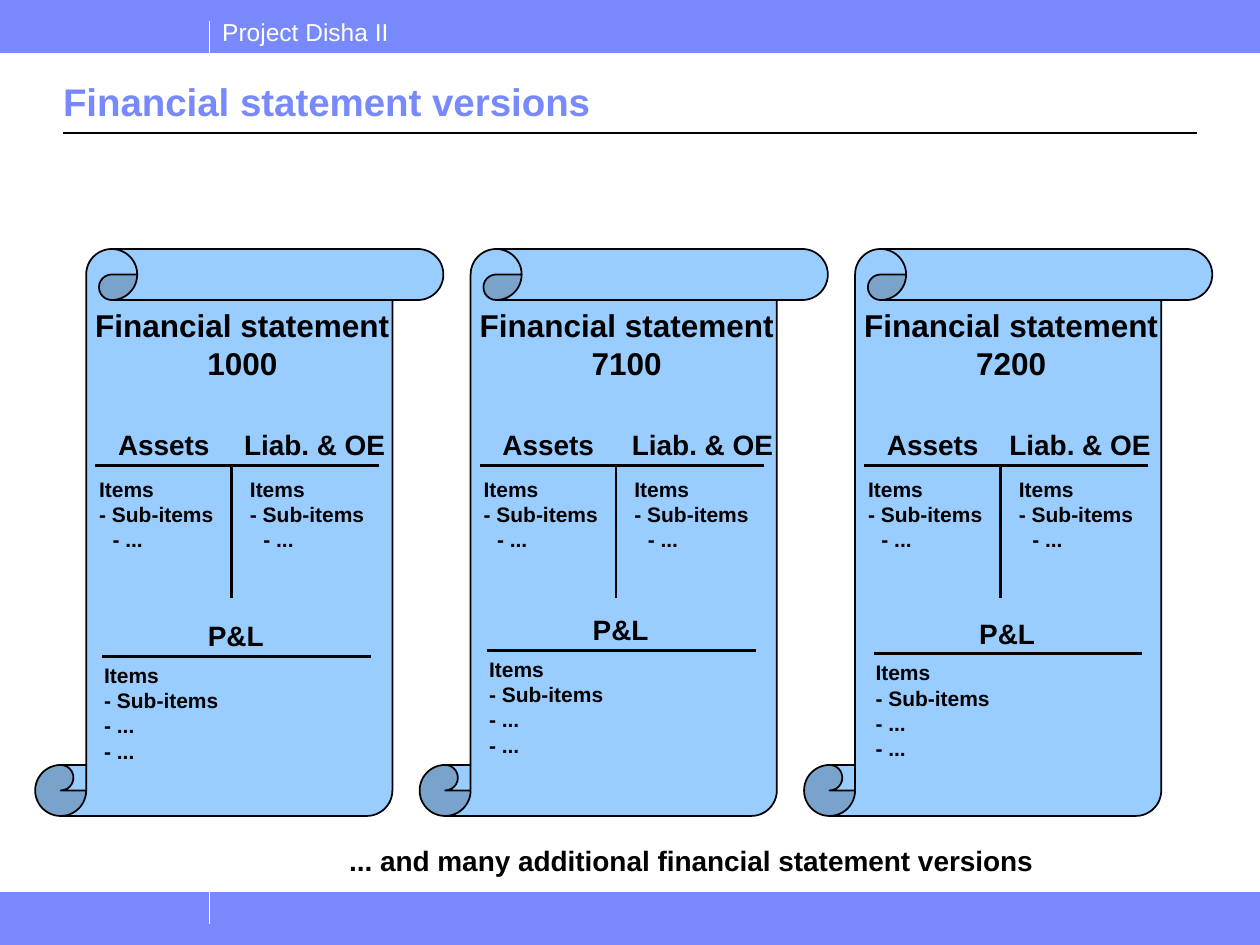
from dataclasses import dataclass

from lxml.etree import SubElement
from pptx import Presentation
from pptx.dml.color import RGBColor
from pptx.enum.shapes import MSO_CONNECTOR, MSO_SHAPE
from pptx.enum.text import MSO_ANCHOR, PP_ALIGN
from pptx.oxml.ns import qn
from pptx.util import Cm, Pt

# Content
PROJECT = "Project Disha II"
TITLE = "Financial statement versions"
CLOSING = "... and many additional financial statement versions"
HEADING = "Financial statement"
ASSETS, LIABILITIES, PROFIT_LOSS = "Assets", "Liab. & OE", "P&L"
# Each item is its text and its level
BALANCE_ITEMS = [("Items", 0), ("- Sub-items", 0), ("- ...", 1)]
PROFIT_ITEMS = [("Items", 0), ("- Sub-items", 0), ("- ...", 0), ("- ...", 0)]
# Number, left of the liabilities label, left and top of the P&L rule
# (left values count from the edge of the scroll)
VERSIONS = [
    ("1000", 3.96, 1.35, 13.23),
    ("7100", 4.03, 1.36, 13.11),
    ("7200", 3.89, 1.4, 13.18),
]


@dataclass(frozen=True)
class Theme:
    font: str = "Arial"
    accent: str = "7889FB"
    paper: str = "99CCFF"
    ink: str = "000000"
    white: str = "FFFFFF"
    title: int = 22
    heading: int = 18
    label: int = 16
    banner: int = 14
    item: int = 12


THEME = Theme()

# Layout, in centimetres
PAGE_WIDTH, PAGE_HEIGHT = 25.4, 19.05
BAND_HEIGHT, TICK_LEFT, TICK_HEIGHT = 1.06, 4.23, 0.63
MARGIN = 1.27
SCROLL_LEFT, SCROLL_TOP, SCROLL_PITCH = 0.71, 5.02, 7.75
SCROLL_WIDTH, SCROLL_HEIGHT = 8.23, 11.43
LABEL_HEIGHT, ITEM_WIDTH, ITEM_INDENT = 0.94, 3.35, 0.27
BALANCE_TOP = 9.39


def style(paragraph, size, color, bold=True, align=PP_ALIGN.LEFT):
    paragraph.alignment = align
    font = paragraph.font
    font.name, font.size, font.bold = THEME.font, Pt(size), bold
    font.color.rgb = RGBColor.from_string(color)


def add_shape(page, kind, left, top, width, height, fill, line, weight):
    shape = page.shapes.add_shape(kind, Cm(left), Cm(top), Cm(width), Cm(height))
    shape.shadow.inherit = False
    shape.fill.solid()
    shape.fill.fore_color.rgb = RGBColor.from_string(fill)
    shape.line.color.rgb = RGBColor.from_string(line)
    shape.line.width = Pt(weight)


def add_line(page, x1, y1, x2, y2, color=THEME.ink, weight=1.5):
    line = page.shapes.add_connector(
        MSO_CONNECTOR.STRAIGHT, Cm(x1), Cm(y1), Cm(x2), Cm(y2))
    line.line.color.rgb = RGBColor.from_string(color)
    line.line.width = Pt(weight)
    SubElement(line._element.spPr, qn("a:effectLst"))


def add_text(page, left, top, width, height, lines, size, wrap=False,
             color=THEME.ink, bold=True, align=PP_ALIGN.LEFT):
    box = page.shapes.add_textbox(Cm(left), Cm(top), Cm(width), Cm(height))
    frame = box.text_frame
    frame.word_wrap = wrap
    frame.text = "\n".join(lines)
    for paragraph in frame.paragraphs:
        style(paragraph, size, color, bold, align)
    return frame


def add_items(page, left, top, height, items):
    frame = add_text(page, left, top, ITEM_WIDTH, height,
                     [text for text, _ in items], THEME.item, wrap=True)
    for paragraph, (_, level) in zip(frame.paragraphs, items):
        properties = paragraph._p.get_or_add_pPr()
        properties.set("marL", str(Cm(ITEM_INDENT)))
        properties.set("indent", str(Cm(ITEM_INDENT * (level - 1))))


def add_version(page, left, number, liabilities_left, profit_left, profit_top):
    add_shape(page, MSO_SHAPE.VERTICAL_SCROLL, left, SCROLL_TOP,
              SCROLL_WIDTH, SCROLL_HEIGHT, THEME.paper, THEME.ink, 1)
    add_text(page, left + 0.77, 6.04, 6.81, 1.78, [HEADING, number],
             THEME.heading, wrap=True, align=PP_ALIGN.CENTER)

    # Balance sheet
    label_top = BALANCE_TOP - 0.89
    add_text(page, left + 1.42, label_top, 2.45, LABEL_HEIGHT, [ASSETS], THEME.label)
    add_text(page, left + liabilities_left, label_top, 3.4, LABEL_HEIGHT,
             [LIABILITIES], THEME.label)
    add_line(page, left + 1.21, BALANCE_TOP, left + 6.94, BALANCE_TOP)
    add_line(page, left + 3.96, BALANCE_TOP, left + 3.96, BALANCE_TOP + 2.67)
    for item_left in (1.04, 4.08):
        add_items(page, left + item_left, BALANCE_TOP + 0.09, 1.78, BALANCE_ITEMS)

    # Profit and loss
    rule_left = left + profit_left
    add_text(page, rule_left + 1.88, profit_top - 0.88, 1.7, LABEL_HEIGHT,
             [PROFIT_LOSS], THEME.label)
    add_line(page, rule_left, profit_top, rule_left + 5.41, profit_top)
    add_items(page, rule_left - 0.21, profit_top, 2.29, PROFIT_ITEMS)


def add_frame(page):
    # Bands with their edge lines and white ticks
    bottom = PAGE_HEIGHT - BAND_HEIGHT
    for band_top, edge, tick_top in ((0, BAND_HEIGHT, BAND_HEIGHT - TICK_HEIGHT),
                                     (bottom, bottom, bottom)):
        add_shape(page, MSO_SHAPE.RECTANGLE, 0, band_top, PAGE_WIDTH, BAND_HEIGHT,
                  THEME.accent, THEME.accent, 0.75)
        add_line(page, 0, edge, PAGE_WIDTH, edge, THEME.accent, 0.5)
        add_line(page, TICK_LEFT, tick_top, TICK_LEFT, tick_top + TICK_HEIGHT,
                 THEME.white, 0.75)
    add_text(page, TICK_LEFT, 0.21, 3.9, 0.86, [PROJECT], THEME.banner,
             color=THEME.white, bold=False)

    # Title and its rule
    title = page.shapes.title
    title.left, title.top = Cm(MARGIN), Cm(1.37)
    title.width, title.height = Cm(PAGE_WIDTH - 2 * MARGIN), Cm(1.27)
    frame = title.text_frame
    frame.text = TITLE
    frame.margin_left = frame.margin_right = 0
    frame.vertical_anchor = MSO_ANCHOR.BOTTOM
    style(frame.paragraphs[0], THEME.title, THEME.accent)
    add_line(page, MARGIN, 2.68, PAGE_WIDTH - MARGIN, 2.68, weight=0.75)


def main():
    deck = Presentation()
    deck.slide_width, deck.slide_height = Cm(PAGE_WIDTH), Cm(PAGE_HEIGHT)
    page = deck.slides.add_slide(deck.slide_layouts.get_by_name("Title Only"))
    add_frame(page)
    for index, version in enumerate(VERSIONS):
        add_version(page, SCROLL_LEFT + index * SCROLL_PITCH, *version)
    add_text(page, 6.79, 16.88, 14.35, LABEL_HEIGHT, [CLOSING], THEME.label)
    deck.save("out.pptx")


if __name__ == "__main__":
    main()
